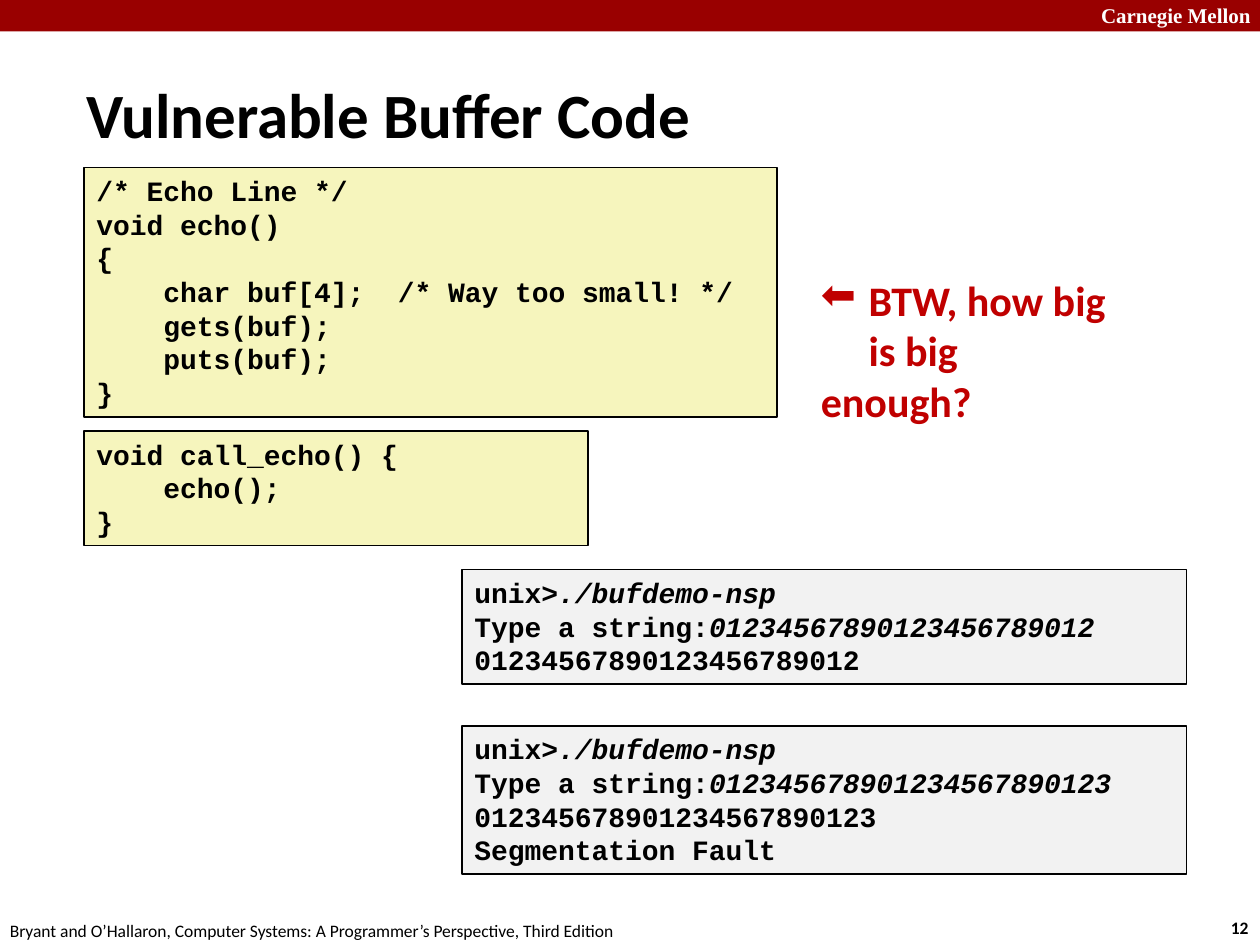
from lxml import etree
from pptx import Presentation, util as u
from pptx.dml.color import RGBColor
from pptx.enum import shapes, text
from pptx.oxml import ns

WIDE, HIGH = 10, 7.5
COL = WIDE / 120
CODE, SHELL = "F6F5BD", "F2F2F2"
ECHO = "\v".join([
    "/* Echo Line */",
    "void echo()",
    "{",
    "    char buf[4];  /* Way too small! */",
    "    gets(buf);",
    "    puts(buf);",
    "}",
])
CALL = "void call_echo() {\n    echo();\n}"


def rgb(hue):
    return RGBColor.from_string(hue)


def style(font, size, name="Calibri", hue="000000", bold=True):
    font.size = u.Pt(size)
    font.name = name
    font.color.rgb = rgb(hue)
    font.bold = bold


def rect(slide, area, fill):
    box = slide.shapes.add_shape(shapes.MSO_SHAPE.RECTANGLE, *map(u.Inches, area))
    box.shadow.inherit = False
    box.fill.solid()
    box.fill.fore_color.rgb = rgb(fill)
    box.line.fill.background()
    return box


def label(slide, area, words, *look, **more):
    box = slide.shapes.add_textbox(*map(u.Inches, area))
    frame = box.text_frame
    frame.word_wrap = True
    frame.text = words
    for para in frame.paragraphs:
        for run in para.runs:
            style(run.font, *look, **more)
    return frame


def panel(slide, col, top, cols, high, fill, words):
    box = rect(slide, (col * COL, top, cols * COL, high), fill)
    box.line.color.rgb = rgb("000000")
    box.line.width = u.Pt(1)
    frame = box.text_frame
    frame.word_wrap = True
    frame.vertical_anchor = text.MSO_ANCHOR.TOP
    for num, line in enumerate(words.split("\n")):
        para = frame.add_paragraph() if num else frame.paragraphs[0]
        para.alignment = text.PP_ALIGN.LEFT
        prompt, *typed = line.split("|")
        para.text = prompt
        for part in typed:
            run = para.add_run()
            run.text = part
            run.font.italic = True
        for run in para.runs:
            style(run.font, 16, "Courier New")


def session(slide, top, high, typed, *tail):
    lines = ["unix>|./bufdemo-nsp", "Type a string:|" + typed, typed, *tail]
    panel(slide, 44, top, 69, high, SHELL, "\n".join(lines))


def indent(para, left, first, mark=None):
    props = para._p.get_or_add_pPr()
    props.set("marL", str(u.Inches(left)))
    props.set("indent", str(u.Inches(first)))
    if mark:
        etree.SubElement(props, ns.qn("a:buChar")).set("char", mark)


def heading(slide, words):
    title = slide.shapes.title
    title.left, title.top, title.width, title.height = map(
        u.Inches, (7 * COL, 7 * COL, 7.01, 0.63))
    frame = title.text_frame
    frame.text = words
    frame.vertical_anchor = text.MSO_ANCHOR.MIDDLE
    para = frame.paragraphs[0]
    para.alignment = text.PP_ALIGN.LEFT
    style(para.runs[0].font, 36)


def remark(slide):
    frame = label(slide, (77 * COL, 2.13, 30 * COL, 0.91),
                  "BTW, how big\nis big enough?", 24, hue="C00000")
    lead, rest = frame.paragraphs
    indent(lead, 0.38, -0.38, "⬅")
    indent(rest, 0, 0.38)


def main():
    deck = Presentation()
    deck.slide_width, deck.slide_height = u.Inches(WIDE), u.Inches(HIGH)
    slide = deck.slides.add_slide(deck.slide_layouts[5])
    rect(slide, (0, 0, WIDE, HIGH / 30), "990000")
    label(slide, (8.64, -0.03, 1.43, 0.3), "Carnegie Mellon",
          12, "Times New Roman", "FFFFFF")
    label(slide, (9.67, 7.23, 0.37, 0.27), "12", 10)
    label(slide, (-0.02, 7.25, 5.08, 0.27),
          "Bryant and O’Hallaron, Computer Systems: "
          "A Programmer’s Perspective, Third Edition", 10, bold=False)
    heading(slide, "Vulnerable Buffer Code")
    panel(slide, 8, 3.42, 48, 0.91, CODE, CALL)
    panel(slide, 8, 1.33, 66, 1.98, CODE, ECHO)
    session(slide, 4.52, 0.91, "01234567890123456789012")
    session(slide, 5.76, 1.18, "012345678901234567890123", "Segmentation Fault")
    remark(slide)
    deck.save("out.pptx")


if __name__ == "__main__":
    main()
